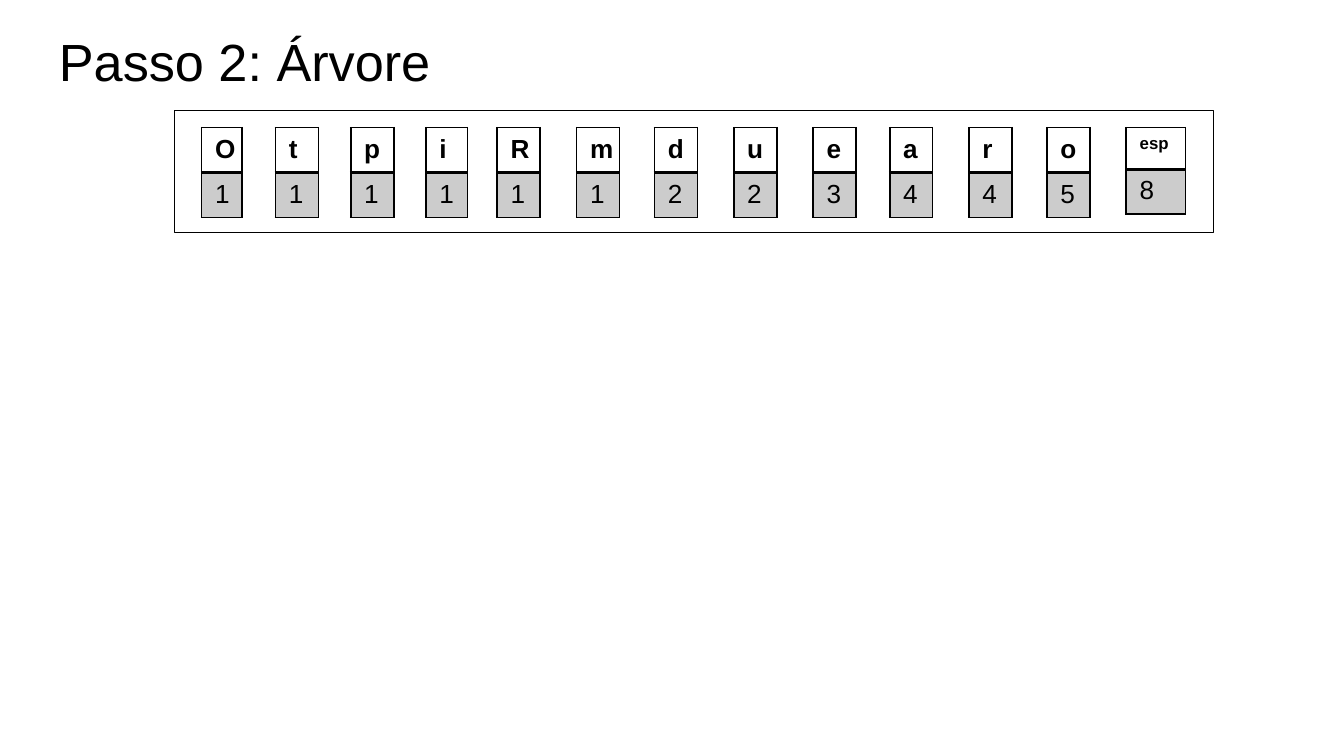
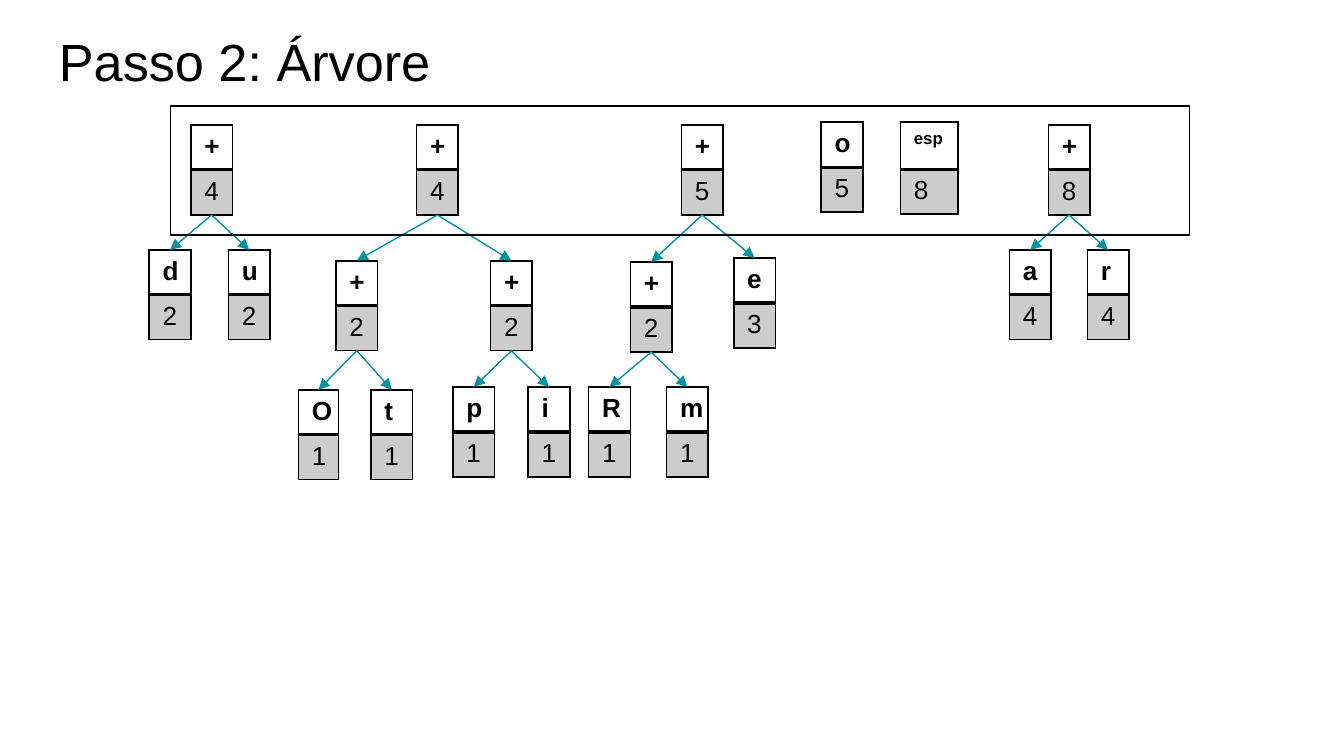
from dataclasses import dataclass

from lxml import etree
from pptx import Presentation
from pptx.dml.color import RGBColor
from pptx.enum import shapes, text
from pptx.oxml import ns
from pptx.util import Inches, Pt


@dataclass(frozen=True)
class Theme:
    ink: str = "000000"
    arrow: str = "0094A3"
    shade: int = 20
    font: str = "Arial"
    title: int = 28
    body: int = 14
    small: int = 9
    thin: float = 0.75
    edge: float = 1
    split: float = 2


THEME = Theme()
TITLE = "Passo 2: Árvore"
WIDE = {"O": 0.3, "i": 0.31}
QUEUE = [
    ("O", 1, 0.2), ("t", 1, 0.75), ("p", 1, 1.31), ("i", 1, 1.87),
    ("R", 1, 2.4), ("m", 1, 2.99), ("d", 2, 3.57), ("u", 2, 4.16),
    ("e", 3, 4.75), ("a", 4, 5.32), ("r", 4, 5.91), ("o", 5, 6.49),
]
FOREST = [
    ("+", 4, 0.15, 0.14, [("d", 2, -0.16, 1.07), ("u", 2, 0.43, 1.07)]),
    ("+", 4, 1.83, 0.14, [
        ("+", 2, 1.23, 1.15, [("O", 1, 0.95, 2.11), ("t", 1, 1.49, 2.11)]),
        ("+", 2, 2.38, 1.15, [("p", 1, 2.1, 2.09), ("i", 1, 2.66, 2.09)]),
    ]),
    ("+", 5, 3.8, 0.14, [
        ("+", 2, 3.42, 1.16, [("R", 1, 3.11, 2.09), ("m", 1, 3.69, 2.09)]),
        ("e", 3, 4.19, 1.13),
    ]),
    ("o", 5, 4.84, 0.12),
    ("+", 8, 6.53, 0.14, [("a", 4, 6.24, 1.07), ("r", 4, 6.82, 1.07)]),
]


def color(code):
    return RGBColor.from_string(code)


def write(frame, words, size=THEME.body, bold=False):
    run = frame.paragraphs[0].add_run()
    run.text = words
    run.font.name = THEME.font
    run.font.size = Pt(size)
    run.font.bold = bold
    run.font.color.rgb = color(THEME.ink)


def add(parent, tag, **attrs):
    return etree.SubElement(parent, ns.qn(tag), **attrs)


def border(cell, low=THEME.edge):
    props = cell._tc.get_or_add_tcPr()
    sides = {"L": THEME.edge, "R": THEME.edge, "T": THEME.edge, "B": low}
    for spot, (side, width) in enumerate(sides.items()):
        line = etree.Element(ns.qn(f"a:ln{side}"), w=str(Pt(width)))
        add(add(line, "a:solidFill"), "a:srgbClr", val=THEME.ink)
        props.insert(spot, line)


def shade(cell):
    cell.fill.solid()
    cell.fill.fore_color.rgb = color(THEME.ink)
    tone = cell._tc.tcPr.find(".//" + ns.qn("a:srgbClr"))
    add(tone, "a:alpha", val=str(THEME.shade * 1000))


def node(slide, sign, count, left, top, width, height=0.67, head=0.31,
         size=THEME.body):
    frame = slide.shapes.add_table(
        2, 1, Inches(left), Inches(top), Inches(width), Inches(height))
    table = frame.table
    table.first_row = table.horz_banding = False
    table.rows[0].height = Inches(head)
    table.rows[1].height = Inches(0.31)
    frame.height = Inches(height)
    upper, lower = table.cell(0, 0), table.cell(1, 0)
    upper.fill.background()
    shade(lower)
    border(upper, low=THEME.split)
    border(lower)
    write(upper.text_frame, sign, size=size, bold=True)
    write(lower.text_frame, str(count))
    return frame


def arrow(slide, source, target):
    line = slide.shapes.add_connector(shapes.MSO_CONNECTOR.STRAIGHT, 0, 0, 0, 0)
    line.begin_connect(source, 2)
    line.end_connect(target, 0)
    line.line.color.rgb = color(THEME.arrow)
    line.line.width = Pt(THEME.thin)
    add(line.line._get_or_add_ln(), "a:tailEnd", type="triangle")
    add(line._element.spPr, "a:effectLst")


def tree(slide, box, sign, count, dx, dy, kids=()):
    left, top = box[:2]
    root = node(slide, sign, count, left + dx, top + dy, WIDE.get(sign, 0.31))
    for kid in kids:
        arrow(slide, root, tree(slide, box, *kid))
    return root


def outline(slide, box):
    rect = slide.shapes.add_shape(
        shapes.MSO_SHAPE.RECTANGLE, *map(Inches, box))
    rect.shadow.inherit = False
    rect.fill.background()
    rect.line.color.rgb = color(THEME.ink)
    rect.line.width = Pt(THEME.thin)


def page(deck):
    slide = deck.slides.add_slide(deck.slide_layouts[6])
    title = slide.shapes.add_textbox(*map(Inches, (0.34, 0.12, 9.32, 0.63)))
    frame = title.text_frame
    frame.word_wrap = True
    frame.vertical_anchor = text.MSO_ANCHOR.TOP
    frame.margin_left = frame.margin_right = Inches(0.1)
    frame.margin_top = frame.margin_bottom = Inches(0.1)
    write(frame, TITLE, size=THEME.title)
    return slide


def queue(deck, box):
    slide = page(deck)
    left, top = box[:2]
    for sign, count, dx in QUEUE:
        node(slide, sign, count, left + dx, top + 0.13, WIDE.get(sign, 0.32))
    node(slide, "esp", 8, left + 7.08, top + 0.13, 0.44, height=0.65,
         size=THEME.small)
    outline(slide, box)


def forest(deck, box):
    slide = page(deck)
    left, top = box[:2]
    for root in FOREST:
        tree(slide, box, *root)
    node(slide, "esp", 8, left + 5.43, top + 0.12, 0.43, height=0.69,
         head=0.35, size=THEME.small)
    outline(slide, box)


def main():
    deck = Presentation()
    deck.slide_width = Inches(10)
    deck.slide_height = deck.slide_width * 9 // 16
    queue(deck, (1.3, 0.82, 7.73, 0.91))
    forest(deck, (1.27, 0.79, 7.58, 0.96))
    deck.save("out.pptx")


if __name__ == "__main__":
    main()
